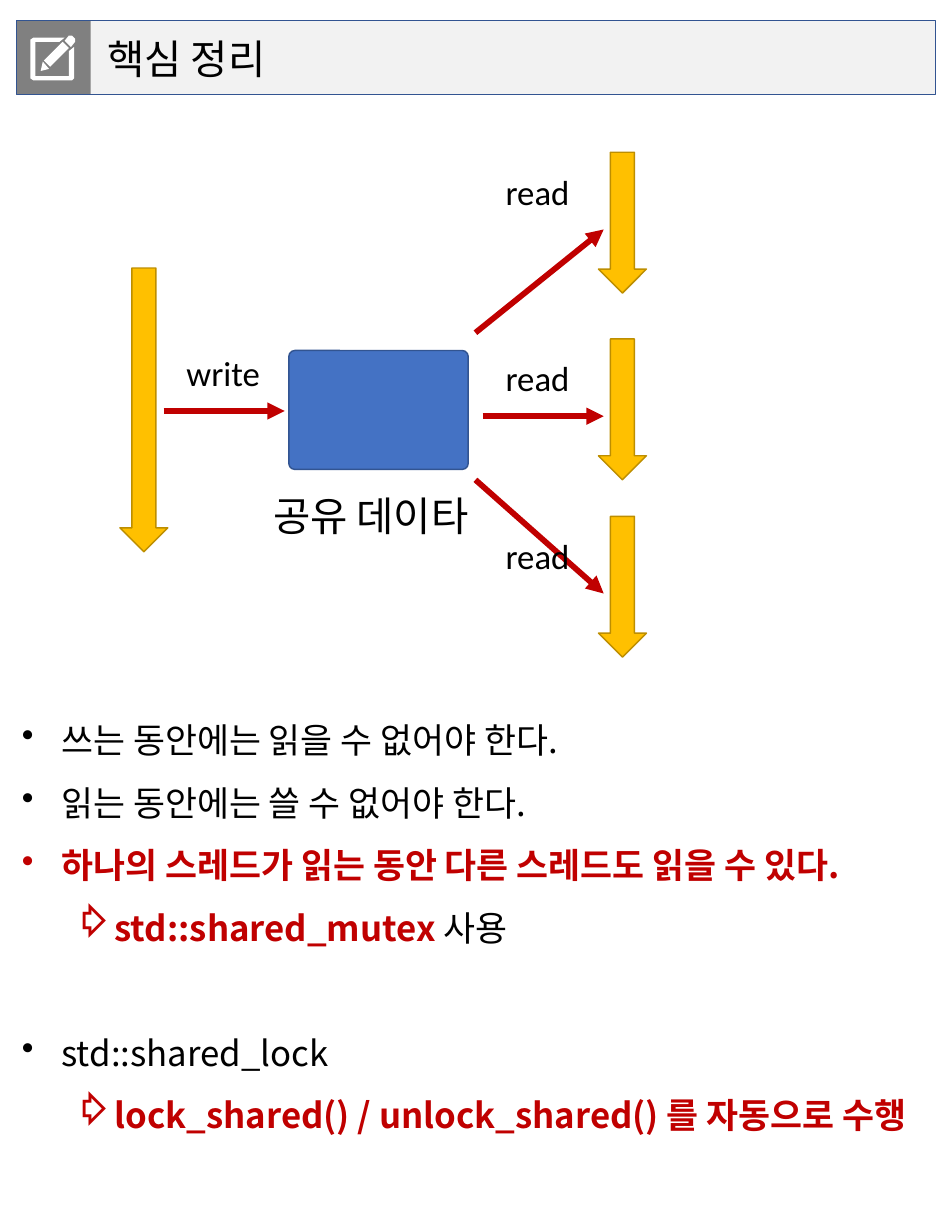
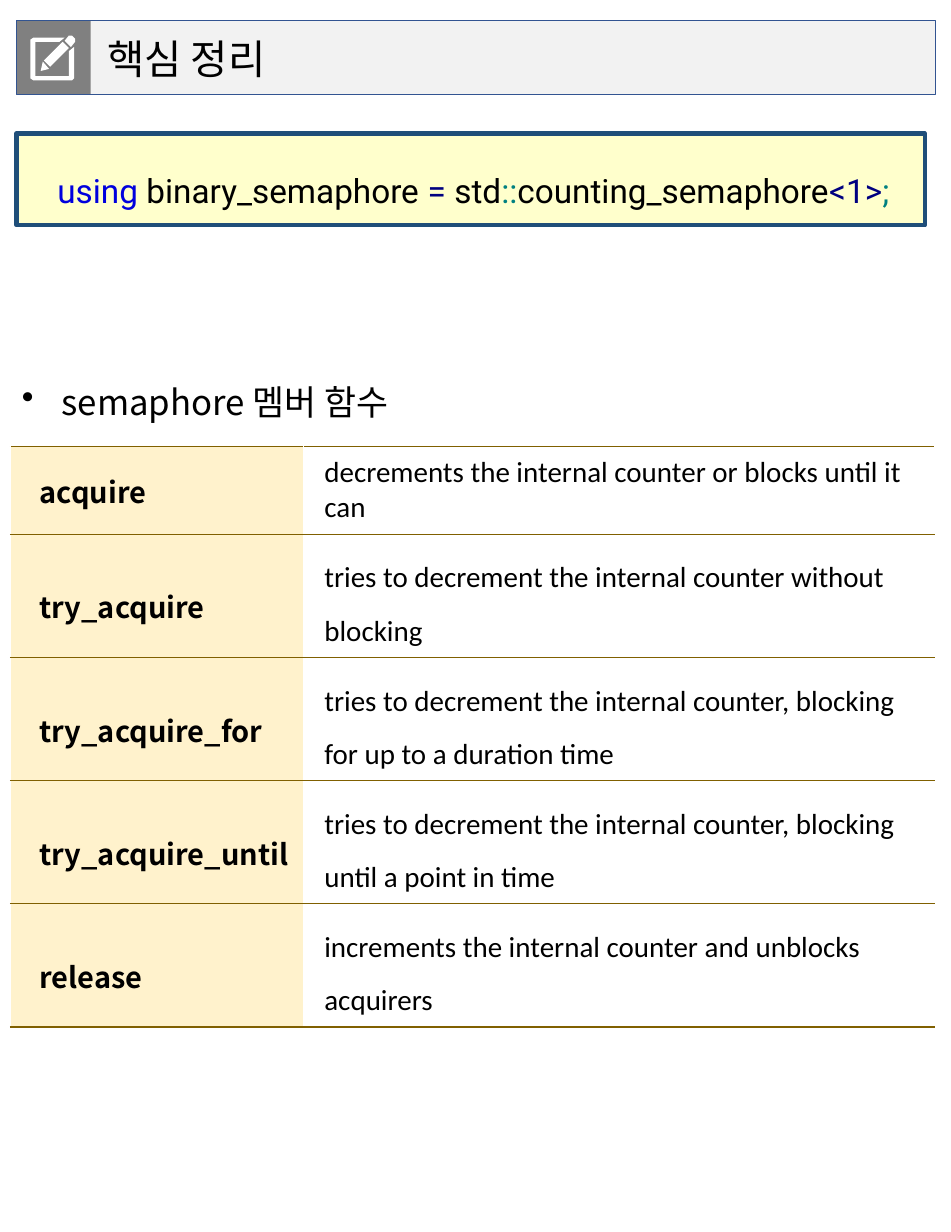
from typing import NamedTuple

from lxml import etree
from pptx import Presentation
from pptx import util as u
from pptx.dml.color import RGBColor
from pptx.enum import shapes, text
from pptx.oxml.ns import qn

SANS, LATIN, CODE = "Noto Sans CJK KR", "Calibri", "Roboto"
BLACK, WHITE, RED = "000000", "FFFFFF", "C00000"
BAND, ICON_GREY, OUTLINE, BLUE = "F2F2F2", "808080", "325491", "4472C4"
AMBER, AMBER_EDGE, RULE, CREAM = "FFC000", "BD8E00", "806000", "FFF2CC"
CODE_FILL, CODE_EDGE = "FFFFCC", "1F4E79"
KEYWORD, SYMBOL, PUNCTUATION = "0000DD", "000080", "008080"
INDENT = u.Inches(0.38)
PENCIL_ICON = [
    [(43, 7), (39, 12), (33, 6), (37, 1), (40, 1), (43, 4)],
    [(12, 26), (18, 33), (10, 35)],
    [(37, 13), (19, 31), (13, 25), (31, 7)],
    [(5, 7), (5, 40), (37, 40), (37, 16), (42, 12), (42, 42), (40, 44),
     (3, 44), (0, 42), (0, 5), (3, 3), (33, 3), (28, 7)],
]


class Box(NamedTuple):
    left: int
    top: int
    width: int
    height: int

    def point(self, x, y):
        return (int(self.left + self.width * x / 100),
                int(self.top + self.height * y / 100))

    def area(self, x, y, width, height):
        return Box(*self.point(x, y), int(self.width * width / 100),
                   int(self.height * height / 100))


PAGE = Box(0, 0, u.Inches(9.12), u.Inches(11.81))


def colour(hex_code):
    return RGBColor.from_string(hex_code)


def add_xml(parent, tag, **attributes):
    return etree.SubElement(parent, qn(tag), attributes)


def paint(shape, fill=None, line=None, weight=1):
    shape.shadow.inherit = False
    if fill:
        shape.fill.solid()
        shape.fill.fore_color.rgb = colour(fill)
    else:
        shape.fill.background()
    if line:
        shape.line.color.rgb = colour(line)
        shape.line.width = u.Pt(weight)
    else:
        shape.line.fill.background()
    return shape


def add_figure(page, kind, box, fill=None, line=None, weight=1):
    return paint(page.shapes.add_shape(kind, *box), fill, line, weight)


def set_insets(holder, left, top, right, bottom):
    holder.margin_left, holder.margin_top = u.Inches(left), u.Inches(top)
    holder.margin_right, holder.margin_bottom = u.Inches(right), u.Inches(bottom)


def write(para, words, size, font=SANS, ink=BLACK, bold=False, spacing=1.0):
    para.alignment = text.PP_ALIGN.LEFT
    para.line_spacing = spacing
    para.font.size = u.Pt(size)
    para.font.name = font
    para.font.bold = bold
    para.font.color.rgb = colour(ink)
    properties = para._p.get_or_add_pPr().find(qn("a:defRPr"))
    add_xml(properties, "a:ea", typeface=font)
    spans = [(words, None)] if isinstance(words, str) else words
    for wording, span_ink in spans:
        span = para.add_run()
        span.text = wording
        if span_ink:
            span.font.color.rgb = colour(span_ink)


def add_bullet(para, mark, level):
    para.level = level
    properties = para._p.get_or_add_pPr()
    properties.set("marL", str(INDENT + level * u.Inches(0.5)))
    properties.set("indent", str(-INDENT))
    bullet = etree.Element(qn("a:buChar"), char=mark)
    properties.find(qn("a:defRPr")).addprevious(bullet)


def add_label(page, box, wording, size, font):
    frame = page.shapes.add_textbox(*box).text_frame
    frame.word_wrap = False
    frame.auto_size = text.MSO_AUTO_SIZE.SHAPE_TO_FIT_TEXT
    write(frame.paragraphs[0], wording, size, font)


def add_arrow(page, start, end):
    arrow = page.shapes.add_connector(shapes.MSO_CONNECTOR.STRAIGHT, *start, *end)
    arrow.line.color.rgb = colour(RED)
    arrow.line.width = u.Pt(4)
    add_xml(arrow.line._get_or_add_ln(), "a:tailEnd", type="triangle")
    add_xml(arrow._element.spPr, "a:effectLst")


def add_header(page, box, title):
    kind = shapes.MSO_SHAPE.RECTANGLE
    band = add_figure(page, kind, box, BAND)
    frame = band.text_frame
    frame.vertical_anchor = text.MSO_ANCHOR.MIDDLE
    set_insets(frame, 0.87, 0.05, 0.1, 0.05)
    write(frame.paragraphs[0], title, 28)
    tile = box._replace(width=box.height)
    add_figure(page, kind, tile, ICON_GREY)
    add_figure(page, kind, box, line=OUTLINE, weight=0.5)
    first, *others = PENCIL_ICON
    builder = page.shapes.build_freeform(*first[0], scale=u.Inches(0.01))
    builder.add_line_segments(first[1:])
    for outline in others:
        builder.move_to(*outline[0])
        builder.add_line_segments(outline[1:])
    paint(builder.convert_to_shape(*tile.point(18.5, 18.5)), WHITE)


def add_thread(page, box):
    add_figure(page, shapes.MSO_SHAPE.DOWN_ARROW, box, AMBER, AMBER_EDGE)


def add_sharing_diagram(page, box):
    data = add_figure(page, shapes.MSO_SHAPE.ROUNDED_RECTANGLE,
                      box.area(32.08, 39.26, 34.06, 23.55), BLUE, OUTLINE)
    data.adjustments[0] = 0.05
    add_label(page, box.area(27.13, 66.12, 43.76, 11.78), "공유 데이타", 28, SANS)
    add_thread(page, box.area(0, 22.93, 9.11, 56.2))
    add_arrow(page, box.point(8.32, 51.24), box.point(31.29, 51.24))
    add_label(page, box.area(10.69, 38.43, 18.02, 10.33), "write", 24, LATIN)
    readers = [(0, (67.52, 35.74), 15.29),
               (36.98, (68.91, 52.27), 52.27),
               (72.11, (67.52, 64.88), 87.4)]
    for top, start, end in readers:
        add_thread(page, box.area(90.89, top, 9.11, 27.89))
        add_arrow(page, box.point(*start), box.point(91.88, end))
        add_label(page, box.area(71.29, top + 2.6, 16.24, 10.33), "read", 24, LATIN)


def add_notes_list(page, box, items):
    frame = page.shapes.add_textbox(*box).text_frame
    frame.word_wrap = True
    set_insets(frame, 0.2, 0.12, 0.1, 0.2)
    for index, (level, words, strong, gap) in enumerate(items):
        para = frame.add_paragraph() if index else frame.paragraphs[0]
        write(para, words, 24, ink=RED if strong else BLACK, bold=strong, spacing=1.5)
        para.space_before = u.Pt(gap)
        add_bullet(para, "•⇨"[level], level)
        for span in para.runs[1:]:
            span.font.bold = False


def add_code(page, box, spans):
    panel = add_figure(page, shapes.MSO_SHAPE.RECTANGLE, box, CODE_FILL, CODE_EDGE, 3)
    frame = panel.text_frame
    frame.word_wrap = True
    frame.vertical_anchor = text.MSO_ANCHOR.TOP
    set_insets(frame, 0.39, 0.16, 0.1, 0.2)
    write(frame.paragraphs[0], spans, 23, CODE, spacing=1.5)


def set_borders(cell, top, bottom):
    properties = cell._tc.get_or_add_tcPr()
    edges = [("L", WHITE, 1), ("R", WHITE, 1), ("T", RULE, top), ("B", RULE, bottom)]
    for index, (side, ink, weight) in enumerate(edges):
        edge = etree.Element(qn("a:ln" + side), w=str(u.Pt(weight)))
        add_xml(add_xml(edge, "a:solidFill"), "a:srgbClr", val=ink)
        properties.insert(index, edge)


def add_function_table(page, box, functions):
    last = len(functions) - 1
    table = page.shapes.add_table(len(functions), 2, *box).table
    table.first_row = table.horz_banding = False
    for column, share in zip(table.columns, (31.72, 68.28)):
        column.width = int(box.width * share / 100)
    for index, entry in enumerate(functions):
        table.rows[index].height = int(box.height * (21.2 if index else 15.2) / 100)
        spacing = 1.5 if index else 1.0
        name, meaning = table.rows[index].cells
        name.fill.solid()
        name.fill.fore_color.rgb = colour(CREAM)
        meaning.fill.background()
        set_insets(name, 0.28, 0.2, 0.1, 0.2)
        set_insets(meaning, 0.2, 0.08, 0.1, 0.08)
        name.vertical_anchor = text.MSO_ANCHOR.MIDDLE
        meaning.vertical_anchor = text.MSO_ANCHOR.TOP if index else text.MSO_ANCHOR.MIDDLE
        write(name.text_frame.paragraphs[0], entry[0], 20, bold=True, spacing=spacing)
        write(meaning.text_frame.paragraphs[0], entry[1], 20, LATIN, spacing=spacing)
        for cell in (name, meaning):
            set_borders(cell, 0.5 if index else 1.5, 1.5 if index == last else 0.5)


def add_page(deck):
    page = deck.slides.add_slide(deck.slide_layouts[6])
    add_header(page, PAGE.area(1.75, 1.69, 96.6, 6.01), "핵심 정리")
    return page


def add_shared_mutex_page(deck):
    page = add_page(deck)
    add_sharing_diagram(page, PAGE.area(12.61, 12.36, 55.37, 40.98))
    add_notes_list(page, PAGE.area(0.11, 55.63, 99.89, 43.27), [
        (0, "쓰는 동안에는 읽을 수 없어야 한다.", False, 0),
        (0, "읽는 동안에는 쓸 수 없어야 한다.", False, 0),
        (0, "하나의 스레드가 읽는 동안 다른 스레드도 읽을 수 있다.", True, 0),
        (1, [("std::shared_mutex ", None), ("사용", BLACK)], True, 0),
        (0, "std::shared_lock", False, 43),
        (1, "lock_shared() / unlock_shared() 를 자동으로 수행", True, 0),
    ])


def add_semaphore_page(deck):
    page = add_page(deck)
    add_code(page, PAGE.area(1.75, 10.84, 95.5, 7.45), [
        ("using\u00a0", KEYWORD), ("binary_semaphore\u00a0", None), ("=", SYMBOL),
        ("\u00a0std", None), ("::", PUNCTUATION), ("counting_semaphore", None),
        ("<1>", SYMBOL), (";", PUNCTUATION),
    ])
    add_function_table(page, PAGE.area(1.1, 36.24, 97.15, 46.32), [
        ("acquire", "decrements the internal counter or blocks until it can"),
        ("try_acquire", "tries to decrement the internal counter without blocking"),
        ("try_acquire_for",
         "tries to decrement the internal counter, blocking for up to a duration time"),
        ("try_acquire_until",
         "tries to decrement the internal counter, blocking until a point in time"),
        ("release", "increments the internal counter and unblocks acquirers"),
    ])
    add_notes_list(page, PAGE.area(0.11, 28.2, 99.89, 7.37),
                   [(0, "semaphore 멤버 함수", False, 0)])


deck = Presentation()
deck.slide_width, deck.slide_height = PAGE.width, PAGE.height
add_shared_mutex_page(deck)
add_semaphore_page(deck)
deck.save("out.pptx")
